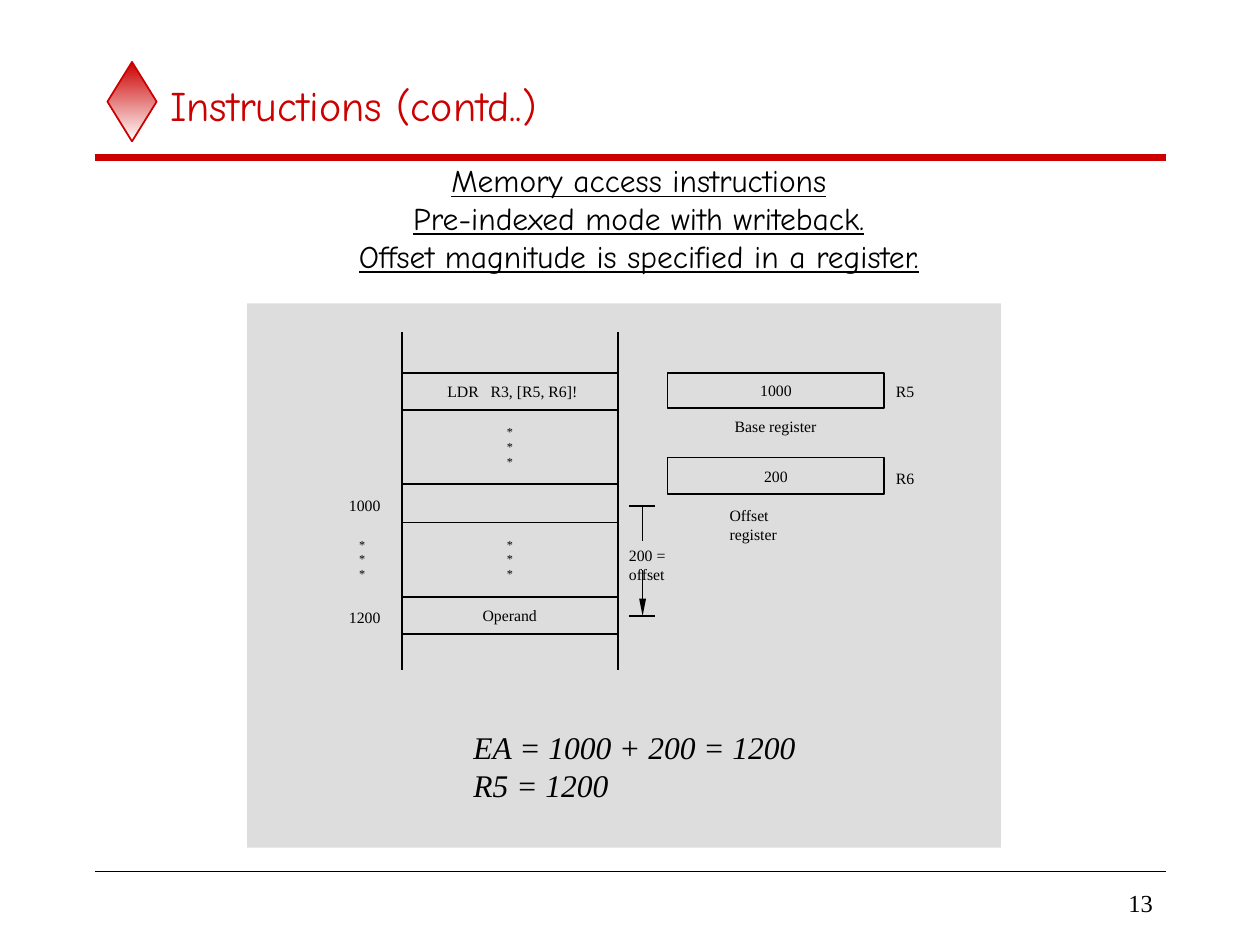
from lxml import etree
from pptx import Presentation
from pptx.dml.color import RGBColor
from pptx.enum.shapes import MSO_CONNECTOR, MSO_SHAPE
from pptx.enum.text import MSO_ANCHOR, MSO_AUTO_SIZE, PP_ALIGN
from pptx.oxml.ns import qn
from pptx.util import Pt

RECT, DIAMOND = MSO_SHAPE.RECTANGLE, MSO_SHAPE.DIAMOND
STRAIGHT = MSO_CONNECTOR.STRAIGHT
LEFT, CENTER, RIGHT = PP_ALIGN.LEFT, PP_ALIGN.CENTER, PP_ALIGN.RIGHT
TOP, MIDDLE = MSO_ANCHOR.TOP, MSO_ANCHOR.MIDDLE
NO_FIT = MSO_AUTO_SIZE.NONE


def rgb(value):
    return RGBColor.from_string(value)


class Deck:
    """Holds the style and the current slide, and draws each kind of element."""

    RED, BLACK, WHITE, GREY = "CC0000", "000000", "FFFFFF", "DDDDDD"
    HEAD, BODY = "Comic Neue", "Times New Roman"

    def __init__(self, width, height):
        self.prs = Presentation()
        self.prs.slide_width, self.prs.slide_height = Pt(width), Pt(height)
        self.s = self.prs.slides.add_slide(self.prs.slide_layouts[5])

    def set_text(self, sp, text, size=9, font=BODY, color=BLACK, align=LEFT,
                 anchor=TOP, inset=(0, 0), wrap=False, italic=None, underline=None):
        tf = sp.text_frame
        tf.text = text
        tf.word_wrap, tf.auto_size, tf.vertical_anchor = wrap, NO_FIT, anchor
        tf.margin_left = tf.margin_right = Pt(inset[0])
        tf.margin_top = tf.margin_bottom = Pt(inset[1])
        for p in tf.paragraphs:
            p.alignment = align
            p.font.name, p.font.size = font, Pt(size)
            p.font.color.rgb = rgb(color)
            p.font.italic, p.font.underline = italic, underline
        return sp

    def title(self, x, y, w, h, text):
        sp = self.s.shapes.title
        sp.left, sp.top, sp.width, sp.height = Pt(x), Pt(y), Pt(w), Pt(h)
        self.set_text(sp, text, 24, self.HEAD, self.RED, anchor=MIDDLE,
                      inset=(7.2, 3.6), wrap=True)

    def text(self, x, y, w, h, text, **style):
        sp = self.s.shapes.add_textbox(Pt(x), Pt(y), Pt(w), Pt(h))
        return self.set_text(sp, text, **style)

    def tabbed(self, x, y, w, h, text, stop):
        sp = self.text(x, y, w, h, text, wrap=True)
        p_pr = sp.text_frame.paragraphs[0]._p.get_or_add_pPr()
        tabs = etree.Element(qn("a:tabLst"))
        etree.SubElement(tabs, qn("a:tab"), pos=str(Pt(stop)), algn="l")
        p_pr.insert(0, tabs)

    def shape(self, kind, x, y, w, h, fill=None, line=None):
        sp = self.s.shapes.add_shape(kind, Pt(x), Pt(y), Pt(w), Pt(h))
        sp.shadow.inherit = False
        if fill:
            sp.fill.solid()
            sp.fill.fore_color.rgb = rgb(fill)
        else:
            sp.fill.background()
        if line:
            sp.line.color.rgb, sp.line.width = rgb(line), Pt(1)
        else:
            sp.line.fill.background()
        return sp

    def gradient(self, sp, colors):
        sp.fill.gradient()
        sp.fill.gradient_angle = 270
        for i, (stop, color) in enumerate(zip(sp.fill.gradient_stops, colors)):
            stop.color.rgb, stop.position = rgb(color), i

    def line(self, x1, y1, x2, y2, color=BLACK, width=1, arrow=False):
        sp = self.s.shapes.add_connector(STRAIGHT, Pt(x1), Pt(y1), Pt(x2), Pt(y2))
        sp.line.color.rgb, sp.line.width = rgb(color), Pt(width)
        if arrow:
            etree.SubElement(sp.line._get_or_add_ln(), qn("a:tailEnd"),
                             type="triangle", w="sm", len="lg")
        etree.SubElement(sp._element.spPr, qn("a:effectLst"))


def draw_frame(d):
    diamond = d.shape(DIAMOND, 61.4, 35.4, 28.1, 45.4, line=d.RED)
    d.gradient(diamond, (d.RED, d.WHITE))
    d.line(54, 90, 666, 90, d.RED, 4)
    d.line(54, 498, 666, 498)
    d.text(564, 504, 102, 24, "13", size=14, align=RIGHT, anchor=MIDDLE,
           inset=(7.2, 3.6))
    d.title(90, 36, 576, 48, "Instructions (contd..)")
    d.text(196.5, 88.5, 337, 72,
           "Memory access instructions\nPre-indexed mode with writeback.\n"
           "Offset magnitude is specified in a register.",
           size=18, font=d.HEAD, align=CENTER, inset=(7.2, 3.6), underline=True)
    d.shape(RECT, 141.3, 173.4, 430.7, 311, fill=d.GREY)


def draw_memory(d):
    left, right = 229.6, 353.1
    for x in (left, right):
        d.line(x, 190, x, 383)
    for y in (213.2, 234.4, 276.6, 298.6, 341.2, 362.2):
        d.line(left, y, right, y)
    d.tabbed(255.6, 218.4, 84, 10.8, "LDR\tR3, [R5, R6]!", 24.75)
    d.text(275.8, 346.4, 31, 10.8, "Operand")
    for y, address in ((283, "1000"), (347.4, "1200")):
        d.text(199.4, y, 18, 10.8, address)
    for x, y in ((289.7, 242.6), (205.2, 306.8), (289.7, 306.8)):
        d.text(x, y, 3.6, 24.5, "*\n*\n*", size=7)


def draw_offset(d):
    x, top, bottom = 367.2, 289, 352
    for y in (top, bottom):
        d.line(359.4, y, 374.4, y)
    d.line(x, top, x, 309)
    d.line(x, 326, x, bottom, arrow=True)
    d.text(359.4, 311.8, 43, 21.6, "200 = offset", wrap=True)


def draw_registers(d):
    for y, h, value, name, name_y in ((213.2, 20, "1000", "R5", 218.4),
                                      (261.5, 21, "200", "R6", 267.8)):
        sp = d.shape(RECT, 381.4, y, 124, h, line=d.BLACK)
        d.set_text(sp, value, align=CENTER, anchor=MIDDLE)
        d.text(512, name_y, 10.8, 10.8, name)
    d.text(419.8, 238.4, 46.8, 10.8, "Base register")
    d.text(416.9, 289, 51, 21.6, "Offset register", wrap=True)


def main():
    d = Deck(720, 540)
    draw_frame(d)
    draw_memory(d)
    draw_offset(d)
    draw_registers(d)
    d.text(263.5, 412.6, 198.7, 50.4, "EA = 1000 + 200 = 1200\nR5 = 1200",
           size=18, inset=(7.2, 3.6), italic=True)
    d.prs.save("out.pptx")


if __name__ == "__main__":
    main()
